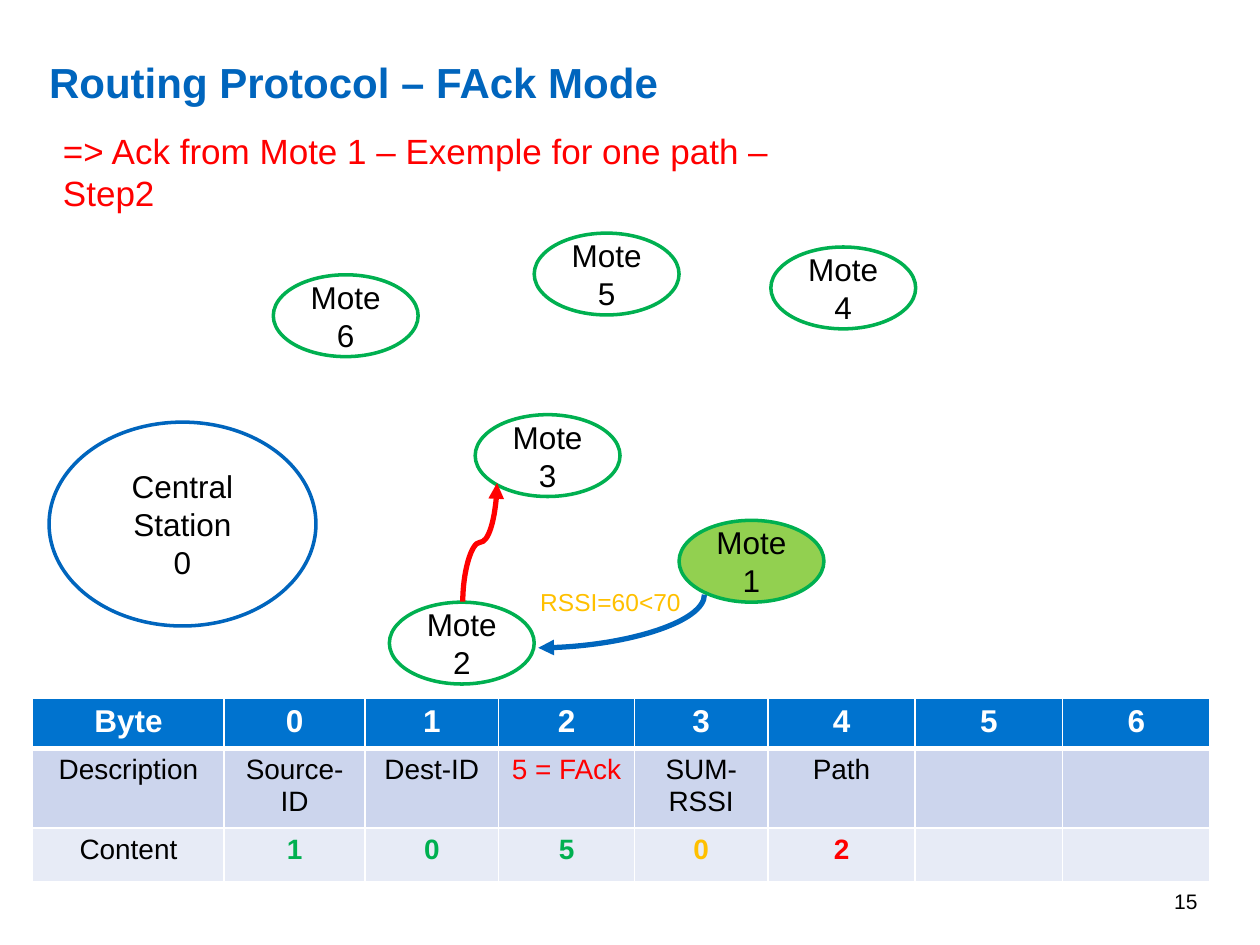
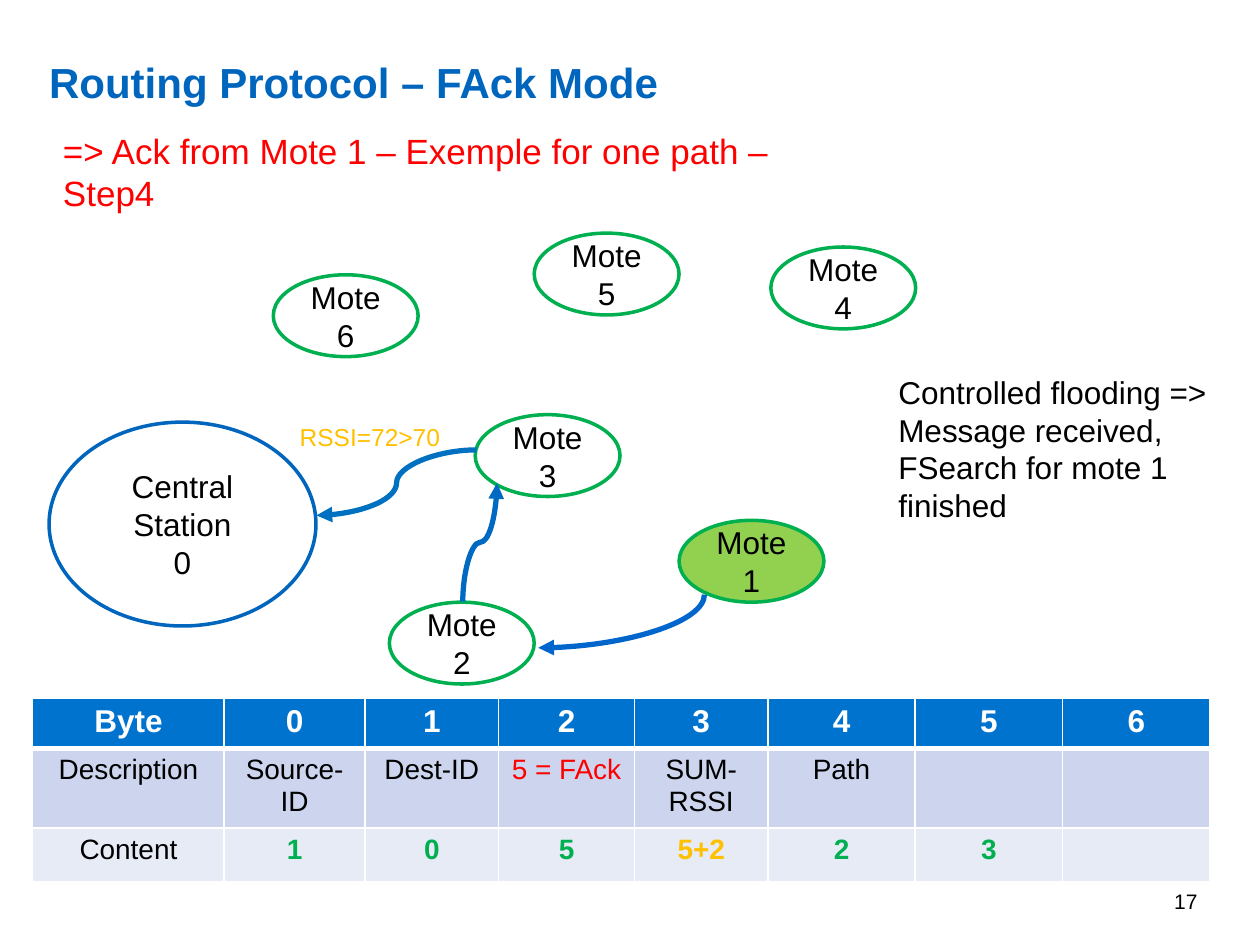
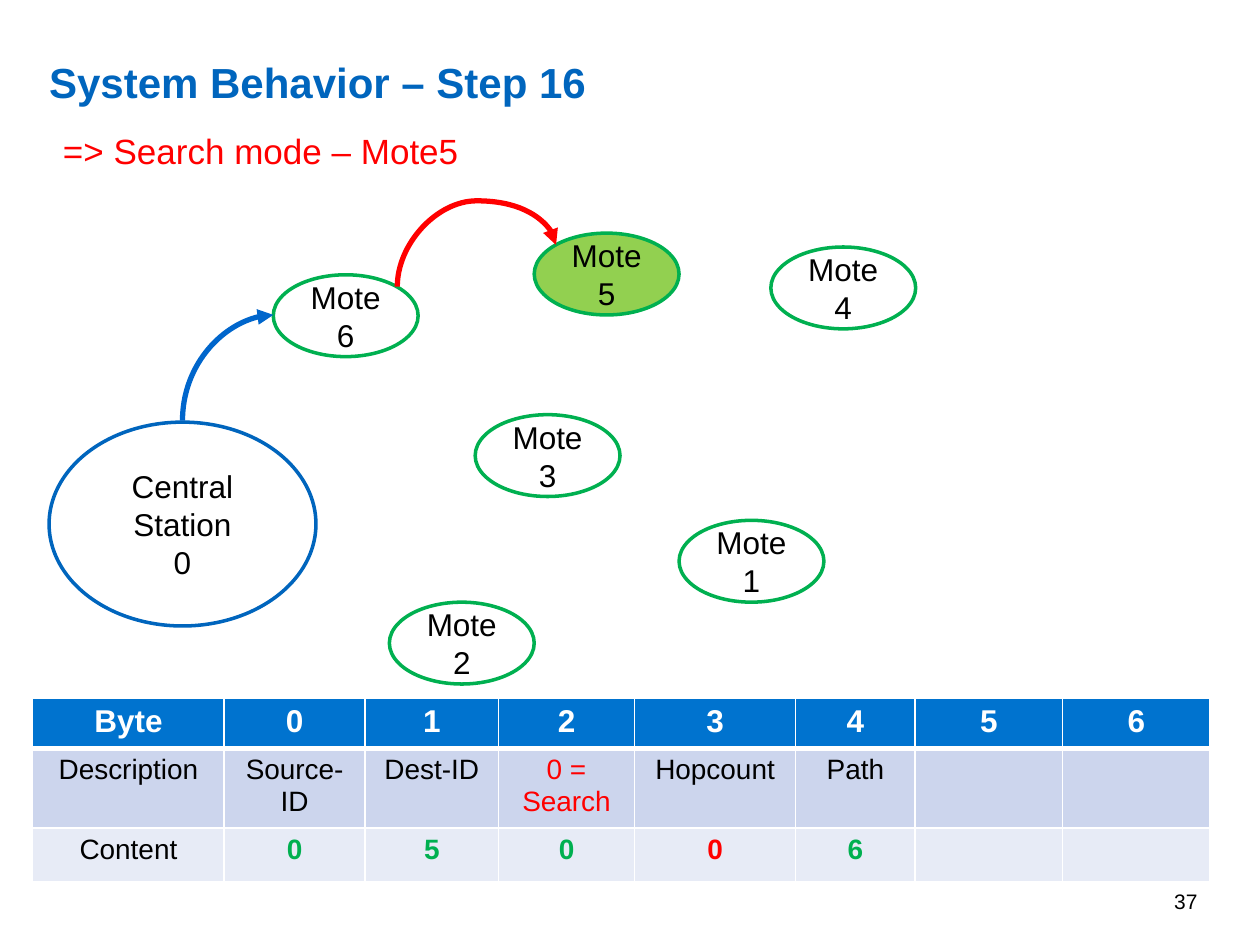
from dataclasses import dataclass, field

import lxml.etree
import pptx
import pptx.dml.color
import pptx.enum.shapes
import pptx.enum.text
import pptx.oxml.ns
import pptx.util

Cm, Pt = pptx.util.Cm, pptx.util.Pt
qn = pptx.oxml.ns.qn
ALIGN = pptx.enum.text.PP_ALIGN
ANCHOR = pptx.enum.text.MSO_ANCHOR

COLOURS = {
    "title": "0065BD", "black": "000000", "white": "FFFFFF", "red": "FF0000",
    "green": "00B050", "amber": "FFC000", "target": "92D050",
    "header": "0073CF", "description": "CCD5ED", "content": "E7EBF6",
    "hop": "0066CC", "first hop": "0066BD", "second hop": "006AC3", "last hop": "0070C0",
}
FONT = "Arial"
MOTE_SIZE = (2.92, 1.65)
MOTE_PLACES = {
    6: (5.51, 5.54), 5: (10.77, 4.7), 2: (7.85, 12.14),
    4: (15.54, 4.98), 3: (9.58, 8.36), 1: (13.69, 10.49),
}
ROW_HEIGHTS = (0.97, 1.55, 1.07)
BYTE_HEADINGS = ("Byte", *"0123456")
TYPE_COLUMN = 3


@dataclass(frozen=True)
class Route:
    """A curved path: its box before rotation, in cm, and how the box is turned."""
    left: float
    top: float
    width: float
    height: float
    rotation: int
    flips: str = ""
    bends: int = 3
    adjust: int | None = None


@dataclass(frozen=True)
class Label:
    text: str
    left: float
    top: float
    width: float
    height: float
    size: int
    colour: str
    wrap: bool = True


@dataclass(frozen=True)
class Packet:
    descriptions: tuple[str, ...]
    contents: tuple[str, ...]
    highlights: dict[int, str]
    widths: tuple[float, ...] = (3.86, 2.84, 2.69, 2.74, 2.69, 2.97, 2.97, 2.97)


@dataclass(frozen=True)
class Step:
    number: int
    title: str
    subtitle: str
    target_mote: int
    packet: Packet
    hops: list[tuple[Route, str]]
    labels: list[Label] = field(default_factory=list)
    subtitle_width: float = 16.71


ONE_TO_TWO = Route(11.99, 10.85, 1.07, 3.35, 90, bends=2)
TWO_TO_THREE = Route(8.48, 10.59, 2.39, 0.69, 90, "HV")
THREE_TO_STATION = Route(6.38, 9.07, 3.23, 1.32, 180, "V")
STATION_TO_SIX = Route(3.53, 6.5, 2.13, 1.83, 90, "HV", bends=2)
SIX_TO_FIVE = Route(9.19, 3.76, 0.84, 3.2, 90, "HV", adjust=206000)


def rssi(text: str, left: float, top: float) -> Label:
    return Label(text, left, top, 3.35, 0.86, 14, "amber", wrap=False)


ACK_TITLE = "Routing Protocol – FAck Mode"
ACK_SUBTITLE = "=> Ack from Mote 1 – Exemple for one path – Step"
ACK_FIELDS = ("Description", "Source-ID", "Dest-ID", "5 = FAck", "SUM-RSSI", "Path", "", "")

STEPS = [
    Step(15, ACK_TITLE, ACK_SUBTITLE + "2", 1,
         Packet(ACK_FIELDS, ("Content", "1", "0", "5", "0", "2", "", ""),
                {4: "amber", 5: "red"}),
         [(ONE_TO_TWO, "first hop"), (TWO_TO_THREE, "red")],
         [rssi("RSSI=60<70", 10.64, 11.71)]),
    Step(17, ACK_TITLE, ACK_SUBTITLE + "4", 1,
         Packet(ACK_FIELDS, ("Content", "1", "0", "5", "5+2", "2", "3", ""),
                {4: "amber"}),
         [(ONE_TO_TWO, "hop"), (TWO_TO_THREE, "second hop"), (THREE_TO_STATION, "last hop")],
         [Label("Controlled flooding => Message received, FSearch for mote 1 finished",
                17.86, 7.39, 7.14, 3.33, 18, "black"),
          rssi("RSSI=72>70", 5.79, 8.38)]),
    Step(37, "System Behavior – Step 16", "=> Search mode – Mote5", 5,
         Packet(("Description", "Source-ID", "Dest-ID", "0 = Search", "Hopcount", "Path", "", ""),
                ("Content", "0", "5", "0", "0", "6", "", ""), {4: "red"},
                (3.86, 2.84, 2.69, 2.74, 3.25, 2.41, 2.97, 2.97)),
         [(STATION_TO_SIX, "hop"), (SIX_TO_FIVE, "red")],
         subtitle_width=8.6),
]


def rgb(name: str) -> pptx.dml.color.RGBColor:
    return pptx.dml.color.RGBColor.from_string(COLOURS[name])


def write(frame, lines: list[str], size: int, colour: str, bold: bool = False,
          align=ALIGN.LEFT) -> None:
    frame.text = "\n".join(lines)
    font_values = {"name": FONT, "size": Pt(size), "bold": bold}
    for paragraph in frame.paragraphs:
        paragraph.alignment = align
        for key, value in font_values.items():
            setattr(paragraph.font, key, value)
        paragraph.font.color.rgb = rgb(colour)


def add_title(slide, text: str) -> None:
    title = slide.shapes.title
    place = {"left": Cm(0.99), "top": Cm(1.02), "width": Cm(19.91), "height": Cm(0.99)}
    for key, value in place.items():
        setattr(title, key, value)
    frame_values = {
        "margin_left": 0, "margin_top": 0, "margin_right": 0, "margin_bottom": 0,
        "vertical_anchor": ANCHOR.MIDDLE, "auto_size": pptx.enum.text.MSO_AUTO_SIZE.NONE,
    }
    for key, value in frame_values.items():
        setattr(title.text_frame, key, value)
    write(title.text_frame, [text], 24, "title", bold=True)
    title.text_frame.paragraphs[0].line_spacing = 1.25


def add_label(slide, label: Label, align=ALIGN.LEFT, anchor=ANCHOR.TOP) -> None:
    box = slide.shapes.add_textbox(
        Cm(label.left), Cm(label.top), Cm(label.width), Cm(label.height))
    box.text_frame.word_wrap = label.wrap
    box.text_frame.vertical_anchor = anchor
    write(box.text_frame, [label.text], label.size, label.colour, align=align)


def add_node(slide, lines: list[str], place: tuple[float, float], size: tuple[float, float],
             outline: str, fill: str = "white") -> None:
    node = slide.shapes.add_shape(
        pptx.enum.shapes.MSO_SHAPE.OVAL, *(Cm(length) for length in (*place, *size)))
    node.shadow.inherit = False
    node.fill.solid()
    node.fill.fore_color.rgb = rgb(fill)
    node.line.color.rgb = rgb(outline)
    node.line.width = Pt(2)
    node.text_frame.vertical_anchor = ANCHOR.MIDDLE
    write(node.text_frame, lines, 18, "black", align=ALIGN.CENTER)


def add_network(slide, target_mote: int) -> None:
    add_node(slide, ["Central Station", "0"], (0.99, 8.51), (5.38, 4.11), "title")
    for mote, place in MOTE_PLACES.items():
        fill = "target" if mote == target_mote else "white"
        add_node(slide, [f"Mote {mote}"], place, MOTE_SIZE, "green", fill)


def add_hop(slide, route: Route, colour: str) -> None:
    hop = slide.shapes.add_connector(
        pptx.enum.shapes.MSO_CONNECTOR.CURVE, Cm(route.left), Cm(route.top),
        Cm(route.left + route.width), Cm(route.top + route.height))
    hop.line.color.rgb = rgb(colour)
    hop.line.width = Pt(3)
    properties = hop.element.spPr
    transform = properties.find(qn("a:xfrm"))
    transform.set("rot", str(route.rotation * 60000))
    for axis in route.flips:
        transform.set(f"flip{axis}", "1")
    geometry = properties.find(qn("a:prstGeom"))
    geometry.set("prst", f"curvedConnector{route.bends}")
    if route.adjust is not None:
        lxml.etree.SubElement(geometry.find(qn("a:avLst")), qn("a:gd"),
                              name="adj1", fmla=f"val {route.adjust}")
    lxml.etree.SubElement(properties.find(qn("a:ln")), qn("a:tailEnd"), type="triangle")
    lxml.etree.SubElement(properties, qn("a:effectLst"))


def format_cell(cell, text: str, size: int, colour: str, bold: bool, fill: str,
                borders: dict[str, int]) -> None:
    cell_properties = cell._tc.get_or_add_tcPr()
    for side, width in borders.items():
        border = lxml.etree.SubElement(cell_properties, qn(f"a:ln{side}"), w=str(Pt(width)))
        solid = lxml.etree.SubElement(border, qn("a:solidFill"))
        lxml.etree.SubElement(solid, qn("a:srgbClr"), val=COLOURS["white"])
    cell.fill.solid()
    cell.fill.fore_color.rgb = rgb(fill)
    write(cell.text_frame, [text], size, colour, bold, ALIGN.CENTER)


def add_packet_table(slide, packet: Packet) -> None:
    rows = (BYTE_HEADINGS, packet.descriptions, packet.contents)
    table = slide.shapes.add_table(
        len(rows), len(BYTE_HEADINGS), Cm(0.66), Cm(14.07),
        Cm(sum(packet.widths)), Cm(sum(ROW_HEIGHTS))).table
    for column, width in zip(table.columns, packet.widths):
        column.width = Cm(width)
    for row, height in zip(table.rows, ROW_HEIGHTS):
        row.height = Cm(height)
    for row_index, (texts, fill) in enumerate(zip(rows, ("header", "description", "content"))):
        borders = {"L": 1, "R": 1, "T": 3 if row_index == 1 else 1,
                   "B": 3 if row_index == 0 else 1}
        for column_index, text in enumerate(texts):
            size, colour, bold = 16, "black", False
            if fill == "header":
                size, colour, bold = 18, "white", True
            elif fill == "description" and column_index == TYPE_COLUMN:
                colour = "red"
            elif fill == "content" and column_index > 0:
                colour, bold = packet.highlights.get(column_index, "green"), True
            format_cell(table.cell(row_index, column_index), text, size, colour, bold,
                        fill, borders)


def add_step(presentation, step: Step) -> None:
    slide = presentation.slides.add_slide(presentation.slide_layouts.get_by_name("Title Only"))
    add_label(slide, Label(str(step.number), 18.47, 17.65, 5.92, 1.02, 12, "black"),
              ALIGN.RIGHT, ANCHOR.MIDDLE)
    add_title(slide, step.title)
    add_network(slide, step.target_mote)
    add_label(slide, Label(step.subtitle, 1.02, 2.49, step.subtitle_width, 1.12, 20, "red"))
    add_packet_table(slide, step.packet)
    for route, colour in step.hops:
        add_hop(slide, route, colour)
    for label in step.labels:
        add_label(slide, label)


def main() -> None:
    presentation = pptx.Presentation()
    presentation.slide_width, presentation.slide_height = Cm(25.4), Cm(19.05)
    for step in STEPS:
        add_step(presentation, step)
    presentation.save("out.pptx")


if __name__ == "__main__":
    main()
